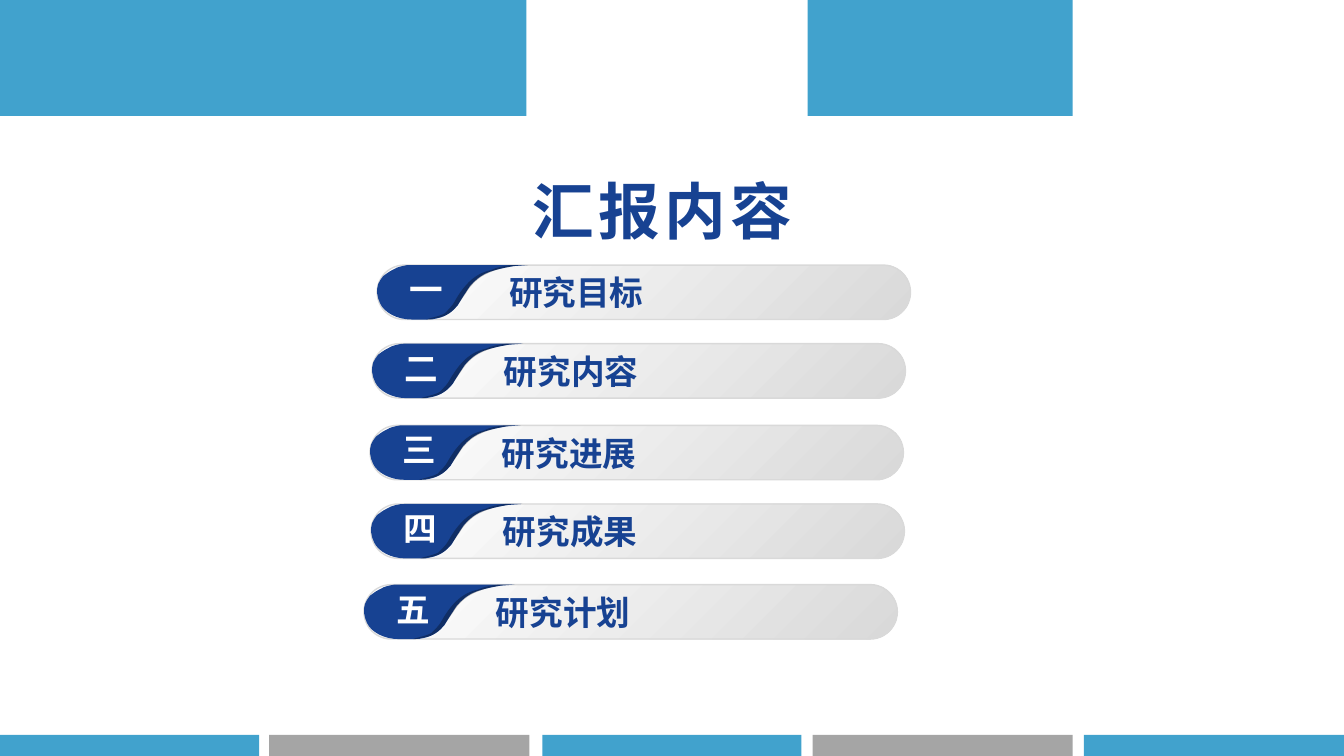
from dataclasses import dataclass

from lxml import etree
from pptx import Presentation
from pptx.dml.color import RGBColor
from pptx.enum.shapes import MSO_SHAPE
from pptx.enum.text import MSO_ANCHOR, MSO_AUTO_SIZE, PP_ALIGN
from pptx.oxml.ns import qn
from pptx.util import Pt

RECTANGLE = MSO_SHAPE.RECTANGLE
ROUNDED = MSO_SHAPE.ROUNDED_RECTANGLE
MIDDLE = MSO_ANCHOR.MIDDLE
GROW = MSO_AUTO_SIZE.SHAPE_TO_FIT_TEXT
LEFT, CENTER = PP_ALIGN.LEFT, PP_ALIGN.CENTER

EMU_PER_PX = 9144  # 100 px to the inch
TITLE_ONLY = 5
FONT = "Noto Sans CJK SC"
COLORS = {
    "sky": "41A2CD",
    "gray": "A5A5A5",
    "silver": "D9D9D9",
    "navy": "174292",
    "white": "FFFFFF",
    "black": "000000",
}


@dataclass(frozen=True)
class Band:
    left: int
    top: int
    width: int
    height: int
    color: str


@dataclass(frozen=True)
class Item:
    left: int
    top: int
    number: str
    label: str


@dataclass(frozen=True)
class Outline:
    """One straight edge, then curves of two control points and an end point."""
    start: tuple[int, int]
    corner: tuple[int, int]
    curves: list[tuple[int, int, int, int, int, int]]


BANDS = [
    Band(0, 0, 522, 115, "sky"),
    Band(801, 0, 263, 115, "sky"),
    Band(0, 729, 257, 21, "sky"),
    Band(267, 729, 258, 21, "gray"),
    Band(538, 729, 257, 21, "sky"),
    Band(806, 729, 258, 21, "gray"),
    Band(1075, 729, 258, 21, "sky"),
]
ITEMS = [
    Item(374, 263, "一", "研究目标"),
    Item(369, 341, "二", "研究内容"),
    Item(367, 422, "三", "研究进展"),
    Item(368, 500, "四", "研究成果"),
    Item(361, 580, "五", "研究计划"),
]
TAB = Outline((88, 0), (149, 0), [
    (143, 0, 143, 0, 136, 1), (130, 2, 119, 4, 111, 7),
    (103, 10, 97, 15, 92, 21), (88, 27, 84, 33, 80, 40),
    (75, 46, 69, 51, 59, 53), (56, 54, 53, 54, 50, 54),
    (45, 54, 39, 54, 34, 54), (20, 54, 7, 47, 3, 38),
    (0, 32, -1, 25, 1, 19), (2, 16, 4, 14, 6, 11),
    (9, 9, 11, 7, 15, 5), (18, 3, 21, 2, 25, 1), (28, 0, 31, 0, 34, 0),
])
SHADE = Outline((133, 0), (150, 0), [
    (146, 0, 139, 0, 130, 2), (122, 3, 107, 8, 100, 14),
    (94, 19, 91, 23, 88, 28), (85, 32, 82, 37, 78, 42),
    (73, 48, 66, 52, 56, 53), (54, 54, 51, 54, 49, 54),
    (50, 53, 62, 51, 67, 48), (71, 44, 75, 40, 77, 36),
    (81, 29, 85, 23, 91, 17), (97, 11, 104, 7, 113, 5),
    (119, 2, 126, 1, 133, 0),
])


def px(value: int) -> int:
    return value * EMU_PER_PX


def rgb(name: str) -> RGBColor:
    return RGBColor.from_string(COLORS[name])


def paint(shape, color: str) -> None:
    shape.shadow.inherit = False
    shape.fill.solid()
    shape.fill.fore_color.rgb = rgb(color)
    shape.line.fill.background()


def write(shape, text: str, size: int, color: str, alignment):
    """Put one bold run in the shape and return its paragraph."""
    frame = shape.text_frame
    frame.word_wrap = True
    frame.auto_size = GROW
    frame.vertical_anchor = MIDDLE
    paragraph = frame.paragraphs[0]
    paragraph.alignment = alignment
    run = paragraph.add_run()
    run.text = text
    run.font.name = FONT
    run.font.size = Pt(size)
    run.font.bold = True
    run.font.color.rgb = rgb(color)
    east_asian = etree.SubElement(run.font._element, qn("a:ea"))
    east_asian.set("typeface", FONT)
    return paragraph


def bend(shape, outline: Outline, item: Item) -> None:
    """Turn the straight segments after the corner into cubic curves."""
    segments = list(shape._element.iter(qn("a:lnTo")))[1:]
    for segment, (x1, y1, x2, y2, _, _) in zip(segments, outline.curves):
        segment.tag = qn("a:cubicBezTo")
        for index, (x, y) in enumerate([(x1, y1), (x2, y2)]):
            control = etree.Element(qn("a:pt"))
            control.set("x", str(px(item.left + x) - shape.left))
            control.set("y", str(px(item.top + y) - shape.top))
            segment.insert(index, control)


def add_outline(shapes, outline: Outline, item: Item, color: str):
    def place(x: int, y: int) -> tuple[int, int]:
        return px(item.left + x), px(item.top + y)

    ends = [outline.corner] + [curve[4:] for curve in outline.curves]
    builder = shapes.build_freeform(*place(*outline.start))
    builder.add_line_segments([place(x, y) for x, y in ends])
    shape = builder.convert_to_shape()
    bend(shape, outline, item)
    paint(shape, color)
    return shape


def add_bar(shapes, item: Item) -> None:
    bar = shapes.add_shape(ROUNDED, px(item.left), px(item.top), px(529), px(54))
    bar.adjustments[0] = 0.5
    bar.shadow.inherit = False
    bar.fill.gradient()
    bar.fill.gradient_angle = 315
    for stop, color in zip(bar.fill.gradient_stops, ("white", "silver")):
        stop.color.rgb = rgb(color)
    bar.line.color.rgb = rgb("silver")
    bar.line.width = Pt(1)


def add_item(slide, item: Item) -> None:
    shapes = slide.shapes.add_group_shape().shapes
    add_bar(shapes, item)
    add_outline(shapes, TAB, item, "navy")
    shade = add_outline(shapes, SHADE, item, "black")
    shade_color = shade.fill._xPr.find(qn("a:solidFill"))[0]
    etree.SubElement(shade_color, qn("a:alpha")).set("val", "30000")
    label = shapes.add_textbox(px(item.left + 121), px(item.top + 2), px(189), px(50))
    write(label, item.label, 24, "navy", LEFT)
    number = shapes.add_textbox(px(item.left + 22), px(item.top - 1), px(43), px(50))
    write(number, item.number, 24, "white", CENTER)


def add_band(slide, band: Band) -> None:
    shape = slide.shapes.add_shape(
        RECTANGLE, px(band.left), px(band.top), px(band.width), px(band.height))
    paint(shape, band.color)


def format_title(slide) -> None:
    title = slide.shapes.title
    title.left, title.top, title.width, title.height = px(452), px(159), px(410), px(88)
    paragraph = write(title, "汇报内容", 44, "navy", CENTER)
    paragraph.line_spacing = 1.14
    paragraph.runs[0].font._element.set("spc", "300")


def main() -> None:
    presentation = Presentation()
    presentation.slide_width, presentation.slide_height = px(1333), px(750)
    slide = presentation.slides.add_slide(presentation.slide_layouts[TITLE_ONLY])
    for band in BANDS:
        add_band(slide, band)
    format_title(slide)
    for item in ITEMS:
        add_item(slide, item)
    presentation.save("out.pptx")


if __name__ == "__main__":
    main()
